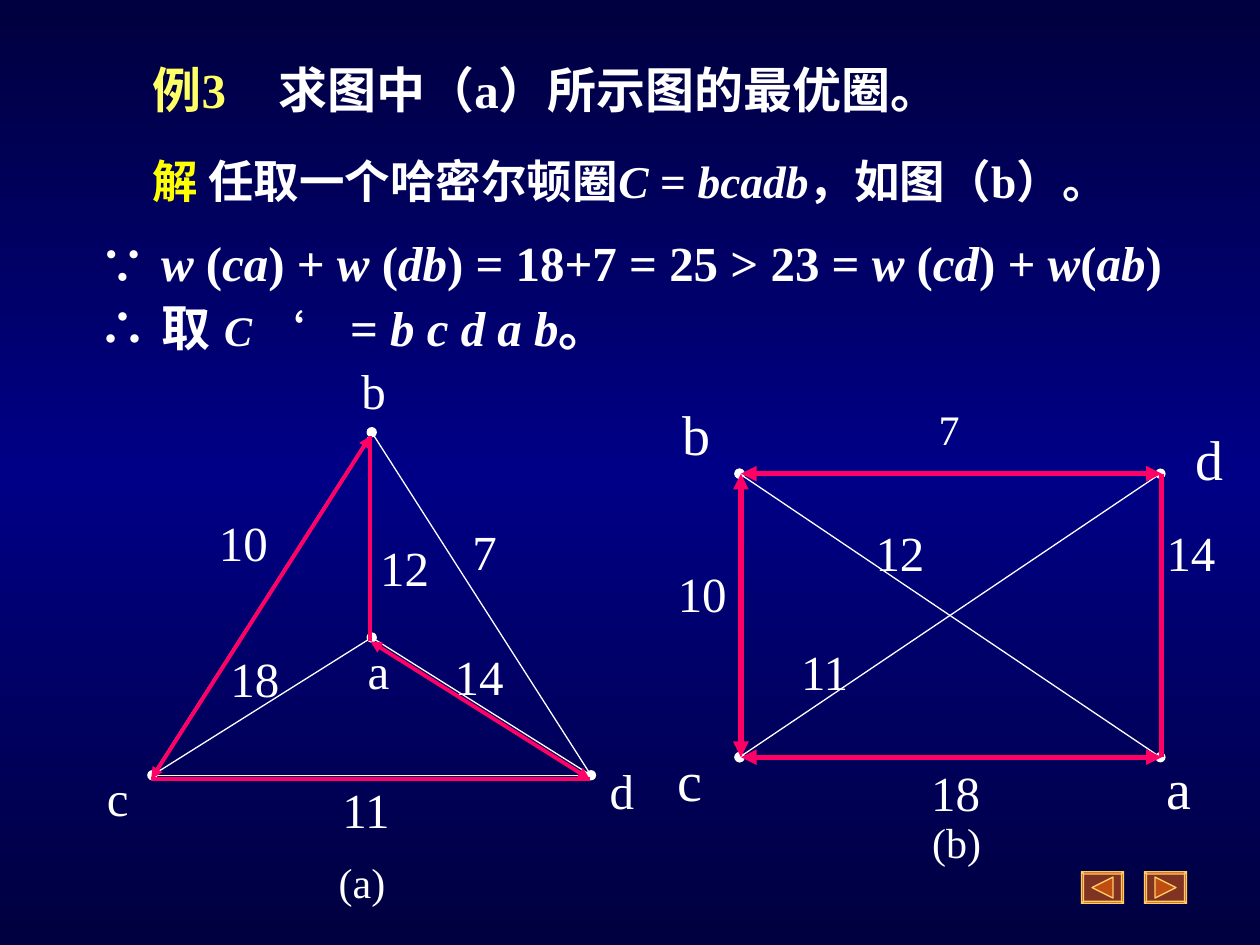
from copy import deepcopy
from dataclasses import dataclass

from lxml.etree import SubElement
from pptx import Presentation
from pptx.dml.color import RGBColor
from pptx.enum.dml import MSO_LINE
from pptx.enum.shapes import MSO_CONNECTOR as Connector
from pptx.enum.text import MSO_ANCHOR as Anchor, MSO_AUTO_SIZE as AutoSize, PP_ALIGN as Align
from pptx.oxml.ns import qn
from pptx.util import Pt


@dataclass(frozen=True)
class Theme:
    font: str = "Times New Roman"
    accent_font: str = "Arial"
    edge: str = "FFFFFF"
    text: str = "FFFFFF"
    cycle: str = "FF0066"
    example: str = "FFFF66"
    solution: str = "FFFF00"
    night: str = "00003E"
    glow: str = "000086"
    button: str = "FF6600"
    button_line: str = "FFCC66"
    heading: int = 28
    statement: int = 26
    caption: int = 24
    vertex: int = 32


def rgb(value):
    return RGBColor.from_string(value)


class SlideBuilder:
    """Draws styled elements on the current slide."""

    def __init__(self, slide, theme):
        self.slide = slide
        self.theme = theme

    def background(self):
        fill = self.slide.background.fill
        fill.gradient()
        fill.gradient_angle = 90
        for stop, colour in zip(fill.gradient_stops, (self.theme.night, self.theme.glow)):
            stop.color.rgb = rgb(colour)
        fill.gradient_stops[1].position = 0.5
        stops = self.slide.element.xpath(".//a:gsLst")[0]
        last = deepcopy(stops[0])
        last.set("pos", "100000")
        stops.append(last)

    def frame(self, shape, left, top, width, height):
        shape.left, shape.top, shape.width, shape.height = map(Pt, (left, top, width, height))
        frame = shape.text_frame
        frame.word_wrap = True
        frame.auto_size = AutoSize.NONE
        frame.vertical_anchor = Anchor.TOP
        return frame

    def fill_paragraph(self, paragraph, markup, size, lead="", lead_colour=None, bold=True, tabs=()):
        properties = paragraph._p.get_or_add_pPr()
        properties.set("marL", "0")
        properties.set("indent", "0")
        SubElement(properties, qn("a:buNone"))
        if tabs:
            tab_list = SubElement(properties, qn("a:tabLst"))
            for position in tabs:
                SubElement(tab_list, qn("a:tab"), pos=str(Pt(position)), algn="l")
        paragraph.alignment = Align.LEFT
        paragraph.space_before = Pt(0)
        font = paragraph.font
        font.name, font.size, font.bold = self.theme.font, Pt(size), bold
        font.color.rgb = rgb(self.theme.text)
        if lead:
            run = paragraph.add_run()
            run.text = lead
            run.font.color.rgb = rgb(lead_colour)
        for index, part in enumerate(markup.split("_")):
            if part:
                run = paragraph.add_run()
                run.text = part
                if index % 2:
                    run.font.italic = True

    def label(self, text, left, top, width, size):
        box = self.slide.shapes.add_textbox(0, 0, 0, 0)
        frame = self.frame(box, left, top, width, size * 1.2 + 7.2)
        self.fill_paragraph(frame.paragraphs[0], text, size, bold=False)

    def line(self, start, end, colour, width, ends=None, dashed=False):
        points = map(Pt, (*start, *end))
        connector = self.slide.shapes.add_connector(Connector.STRAIGHT, *points)
        line = connector.line
        line.color.rgb = rgb(colour)
        line.width = Pt(width)
        if dashed:
            line.dash_style = MSO_LINE.DASH
        if ends:
            for tag in ("a:headEnd", "a:tailEnd"):
                SubElement(line._ln, qn(tag), type=ends)
        SubElement(connector._element.spPr, qn("a:effectLst"))

    def edges(self, points, rows, colour, width, shift=(0, 0)):
        place = {name: (x + shift[0], y + shift[1]) for name, (x, y) in points.items()}
        for (start, end), *style in rows:
            self.line(place[start], place[end], colour, width, *style)

    def button(self, left, top, triangle):
        width, height, bevel = 24, 18, 1.2
        outer = [(0, 0), (width, 0), (width, height), (0, height)]
        inner = [(bevel, bevel), (width - bevel, bevel),
                 (width - bevel, height - bevel), (bevel, height - bevel)]
        sides = [[outer[i], outer[(i + 1) % 4], inner[(i + 1) % 4], inner[i]] for i in range(4)]
        builder = self.slide.shapes.build_freeform(Pt(left), Pt(top))
        for contour in (outer, *sides, triangle):
            points = [(Pt(left + x), Pt(top + y)) for x, y in contour]
            if contour is not outer:
                builder.move_to(*points[0])
            builder.add_line_segments(points[1:], close=True)
        shape = builder.convert_to_shape()
        shape.shadow.inherit = False
        shape.fill.solid()
        shape.fill.fore_color.rgb = rgb(self.theme.button)
        colour = shape._element.spPr.find(qn("a:solidFill"))[0]
        SubElement(colour, qn("a:alpha"), val="50000")
        shape.line.color.rgb = rgb(self.theme.button_line)
        shape.line.width = Pt(0.75)
        self.split_contours(shape)

    def split_contours(self, shape):
        outline = shape._element.xpath(".//a:path")[0]
        outlines = outline.getparent()
        for step in list(outline):
            if step.tag == qn("a:moveTo"):
                part = SubElement(outlines, qn("a:path"), dict(outline.attrib))
            part.append(step)
        outlines.remove(outline)


def add_text(builder, theme):
    title, body = builder.slide.placeholders
    frame = builder.frame(title, 80, 30.2, 599, 41)
    builder.fill_paragraph(frame.paragraphs[0], "\t求图中（a）所示图的最优圈。", theme.heading,
                           "例3", theme.example, tabs=(70,))
    box = builder.slide.shapes.add_textbox(0, 0, 0, 0)
    frame = builder.frame(box, 80, 84.2, 609, 39)
    builder.fill_paragraph(frame.paragraphs[0], "任取一个哈密尔顿圈_C _= _bcadb_，如图（b）。",
                           theme.statement, "解 ", theme.solution)
    frame = builder.frame(body, 48.8, 126, 671, 118)
    reason, result = frame.paragraphs[0], frame.add_paragraph()
    builder.fill_paragraph(
        reason, "∵\t_w _(_ca_) + _w _(_db_) = 18+7 = 25 > 23 = _w _(_cd_) +_ w_(_ab_)",
        theme.heading, tabs=(49,))
    builder.fill_paragraph(result, "∴\t取\t_C _‘_\t_= _b c d a b_。", theme.heading,
                           tabs=(41, 81, 144))
    for paragraph in (reason, result):
        paragraph.line_spacing = 1.1
    letter, prime = result.runs[1:3]
    letter.font.size = prime.font.size = Pt(theme.caption)
    prime.font.name = theme.accent_font


def add_labels(builder, rows, width, size):
    for text, left, top in rows:
        builder.label(text, left, top, width, size)


def main():
    theme = Theme()
    presentation = Presentation()
    presentation.slide_width, presentation.slide_height = Pt(720), Pt(540)
    slide = presentation.slides.add_slide(presentation.slide_layouts[1])
    builder = SlideBuilder(slide, theme)
    builder.background()
    add_text(builder, theme)

    triangle = {"a": (212.4, 364.3), "b": (212.4, 247), "c": (87.1, 443), "d": (337.7, 443)}
    builder.edges(triangle, [("cb", "oval"), ("da", "oval"), ("ac",), ("ba",), ("bd",), ("cd",)],
                  theme.edge, 0.75)
    add_labels(builder, [("b", 199.4, 202.3), ("a", 203, 362.2), ("c", 54, 434.9),
                         ("d", 341.3, 431.3)], 39, theme.heading)
    add_labels(builder, [("10", 118, 289.4), ("18", 124.6, 367.2), ("11", 188.6, 442),
                         ("7", 262.8, 294.5), ("14", 252.7, 365.8), ("12", 210.2, 303.8)],
               46, theme.heading)
    builder.label("(a)", 186.5, 486, 53, theme.caption)

    builder.button(618, 498.2, [(6, 9), (18, 3), (18, 15)])
    builder.button(654, 498.2, [(6, 3), (18, 9), (6, 15)])

    square = {"a": (663.1, 432.7), "b": (422.6, 270.7), "c": (422.6, 432.7), "d": (663.1, 270.7)}
    builder.edges(square, [("ca", "oval", True), ("bd", "oval", True), ("cb", "oval"),
                           ("dc",), ("da",), ("ba",)], theme.edge, 0.75)
    add_labels(builder, [("a", 659.5, 427), ("b", 383, 224.6), ("d", 676, 239),
                         ("c", 380.2, 422.6)], 35, theme.vertex)
    add_labels(builder, [("10", 380.2, 318.2), ("11", 450.7, 362.9), ("12", 493.2, 295.2),
                         ("14", 659.5, 295.2), ("18", 525, 432)], 60, theme.heading)
    add_labels(builder, [("(b)", 525.6, 463), ("7", 529.2, 226.8)], 60, theme.caption)

    builder.edges(square, [("ca", "triangle"), ("bd", "triangle"), ("cb", "triangle"), ("da",)],
                  theme.cycle, 3, (0.8, 0))
    builder.edges(triangle, [("cb", "triangle"), ("da", "triangle"), ("ba",), ("cd",)],
                  theme.cycle, 2.25, (-0.7, 2.2))
    presentation.save("out.pptx")


if __name__ == "__main__":
    main()
